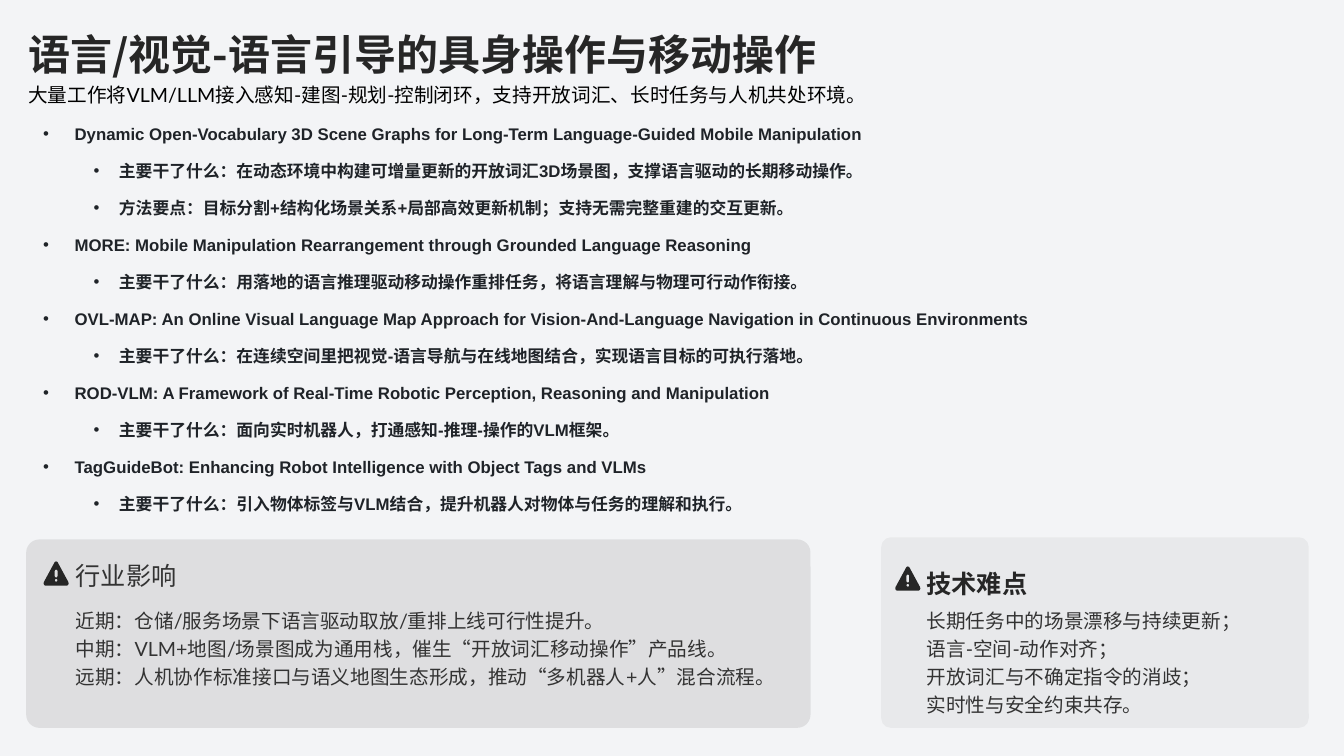
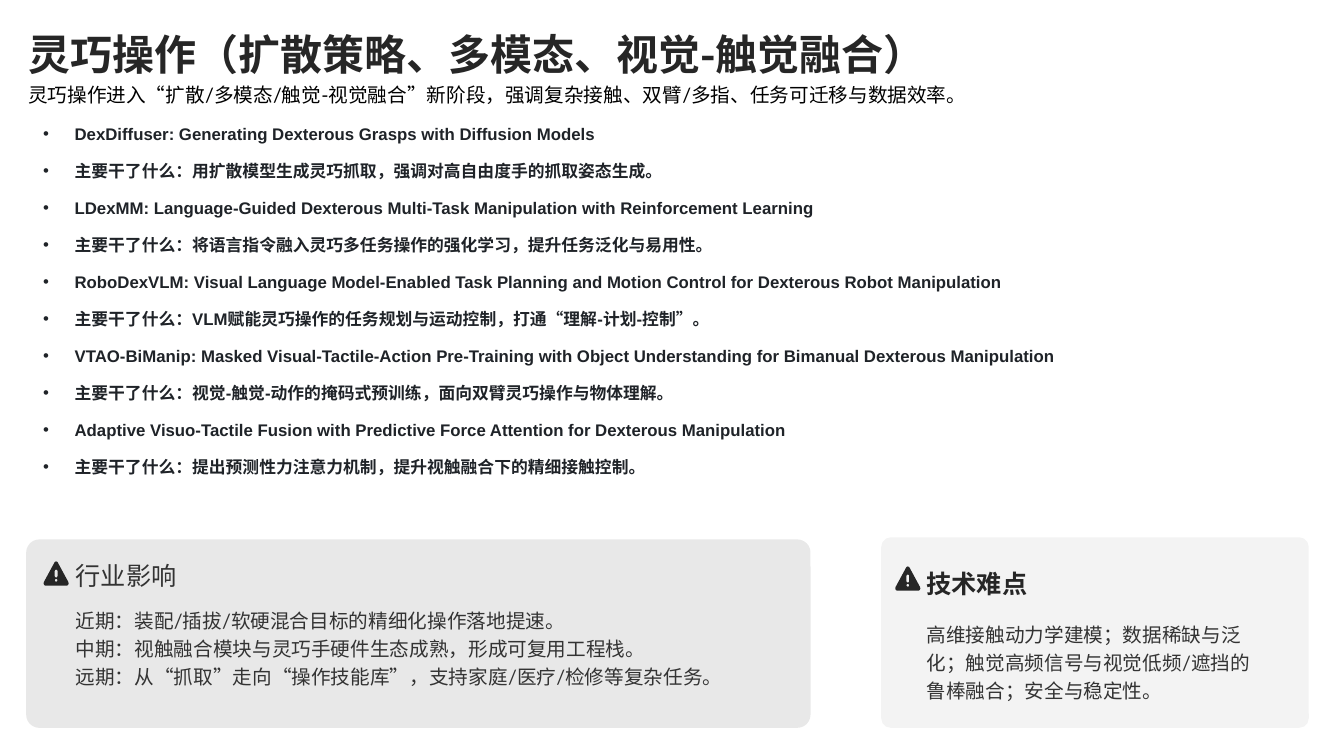
"""Build two slides on embodied manipulation research."""
from lxml.etree import SubElement
from pptx import Presentation
from pptx.dml.color import RGBColor
from pptx.enum.lang import MSO_LANGUAGE_ID
from pptx.enum.shapes import MSO_SHAPE
from pptx.enum.text import MSO_ANCHOR, MSO_AUTO_SIZE, PP_ALIGN
from pptx.oxml.ns import qn
from pptx.util import Inches, Pt

WIDTH, HEIGHT = Inches(13.33), Inches(7.5)
COLORS = {"pale": "F3F4F6", "white": "FFFFFF", "dark": "262626", "black": "000000",
          "text": "333333", "list": "1F2328", "gray": "8C8C8C"}
HAN = "Noto Sans CJK SC"
INDENTS = [(6.08, -2.34), (9.38, -1.88)]
SIGN = [
    [(0, 0), (8, 2), (15, 8), (122, 205), (124, 220), (119, 233), (108, 240)],
    [(0, 80), (10, 84), (14, 94), (14, 146), (10, 156), (0, 160)],
    [(0, 173), (10, 177), (14, 187), (10, 197), (0, 201)],
]

SLIDES = [
    {
        "back": "pale",
        "title": "语言/视觉-语言引导的具身操作与移动操作",
        "lead": "大量工作将VLM/LLM接入感知-建图-规划-控制闭环，支持开放词汇、长时任务与人机共处环境。",
        "points": [
            (0, "Dynamic Open-Vocabulary 3D Scene Graphs for Long-Term Language-Guided Mobile Manipulation"),
            (1, "主要干了什么：在动态环境中构建可增量更新的开放词汇3D场景图，支撑语言驱动的长期移动操作。"),
            (1, "方法要点：目标分割+结构化场景关系+局部高效更新机制；支持无需完整重建的交互更新。"),
            (0, "MORE: Mobile Manipulation Rearrangement through Grounded Language Reasoning"),
            (1, "主要干了什么：用落地的语言推理驱动移动操作重排任务，将语言理解与物理可行动作衔接。"),
            (0, "OVL-MAP: An Online Visual Language Map Approach for Vision-And-Language Navigation in Continuous Environments"),
            (1, "主要干了什么：在连续空间里把视觉-语言导航与在线地图结合，实现语言目标的可执行落地。"),
            (0, "ROD-VLM: A Framework of Real-Time Robotic Perception, Reasoning and Manipulation"),
            (1, "主要干了什么：面向实时机器人，打通感知-推理-操作的VLM框架。"),
            (0, "TagGuideBot: Enhancing Robot Intelligence with Object Tags and VLMs"),
            (1, "主要干了什么：引入物体标签与VLM结合，提升机器人对物体与任务的理解和执行。"),
        ],
        "impact": [
            "近期：仓储/服务场景下语言驱动取放/重排上线可行性提升。",
            "中期：VLM+地图/场景图成为通用栈，催生“开放词汇移动操作”产品线。",
            "远期：人机协作标准接口与语义地图生态形成，推动“多机器人+人”混合流程。",
        ],
        "limits": [
            "长期任务中的场景漂移与持续更新；",
            "语言-空间-动作对齐；",
            "开放词汇与不确定指令的消歧；",
            "实时性与安全约束共存。",
        ],
    },
    {
        "back": "white",
        "title": "灵巧操作（扩散策略、多模态、视觉-触觉融合）",
        "lead": "灵巧操作进入“扩散/多模态/触觉-视觉融合”新阶段，强调复杂接触、双臂/多指、任务可迁移与数据效率。",
        "points": [
            (0, "DexDiffuser: Generating Dexterous Grasps with Diffusion Models"),
            (0, "主要干了什么：用扩散模型生成灵巧抓取，强调对高自由度手的抓取姿态生成。"),
            (0, "LDexMM: Language-Guided Dexterous Multi-Task Manipulation with Reinforcement Learning"),
            (0, "主要干了什么：将语言指令融入灵巧多任务操作的强化学习，提升任务泛化与易用性。"),
            (0, "RoboDexVLM: Visual Language Model-Enabled Task Planning and Motion Control for Dexterous Robot Manipulation"),
            (0, "主要干了什么：VLM赋能灵巧操作的任务规划与运动控制，打通“理解-计划-控制”。"),
            (0, "VTAO-BiManip: Masked Visual-Tactile-Action Pre-Training with Object Understanding for Bimanual Dexterous Manipulation"),
            (0, "主要干了什么：视觉-触觉-动作的掩码式预训练，面向双臂灵巧操作与物体理解。"),
            (0, "Adaptive Visuo-Tactile Fusion with Predictive Force Attention for Dexterous Manipulation"),
            (0, "主要干了什么：提出预测性力注意力机制，提升视触融合下的精细接触控制。"),
        ],
        "impact": [
            "近期：装配/插拔/软硬混合目标的精细化操作落地提速。",
            "中期：视触融合模块与灵巧手硬件生态成熟，形成可复用工程栈。",
            "远期：从“抓取”走向“操作技能库”，支持家庭/医疗/检修等复杂任务。",
        ],
        "limits": ["高维接触动力学建模；数据稀缺与泛化；触觉高频信号与视觉低频/遮挡的鲁棒融合；安全与稳定性。"],
    },
]


def across(share):
    return round(WIDTH * share / 100)


def down(share):
    return round(HEIGHT * share / 100)


def area(left, top, width, height):
    return across(left), down(top), across(width), down(height)


def place(shape, box):
    shape.left, shape.top, shape.width, shape.height = area(*box)


def paint(fill, color):
    fill.solid()
    fill.fore_color.rgb = RGBColor.from_string(COLORS[color])


def style(para, size, color, face="Lato", bold=False):
    for run in para.runs:
        font = run.font
        font.size, font.bold, font.name = Pt(size), bold, face
        font.language_id = MSO_LANGUAGE_ID.SIMPLIFIED_CHINESE
        paint(font.fill, color)
        SubElement(run._r.get_or_add_rPr(), qn("a:ea")).set("typeface", HAN)


def prepare(frame):
    frame.word_wrap = True
    frame.auto_size = MSO_AUTO_SIZE.NONE
    frame.vertical_anchor = MSO_ANCHOR.MIDDLE
    frame.margin_left = frame.margin_right = frame.margin_top = frame.margin_bottom = 0


def write(slide, box, lines, size, color, bold=False, space=1.2):
    frame = slide.shapes.add_textbox(*area(*box)).text_frame
    prepare(frame)
    frame.text = "\n".join(lines)
    for para in frame.paragraphs:
        para.line_spacing = space
        style(para, size, color, bold=bold)


def head(slide, text):
    title = slide.shapes.title
    place(title, (2.1, 3.75, 100, 6.67))
    frame = title.text_frame
    prepare(frame)
    frame.text = text
    frame.paragraphs[0].alignment = PP_ALIGN.LEFT
    style(frame.paragraphs[0], 30, "dark", HAN, True)


def bullet(para, level):
    para.level = level
    para.space_before, para.space_after = Pt(0), Pt(12)
    props = para._p.get_or_add_pPr()
    for name, share in zip(("marL", "indent"), INDENTS[level]):
        props.set(name, str(across(share)))
    SubElement(props, qn("a:buFont")).set("typeface", "Arial")
    SubElement(props, qn("a:buChar")).set("char", "•")


def fill_list(slide, points):
    body = slide.placeholders[1]
    place(body, (-1.28, 15.73, 93.85, 53.47))
    frame = body.text_frame
    frame.word_wrap = True
    frame.auto_size = MSO_AUTO_SIZE.SHAPE_TO_FIT_TEXT
    frame.text = "\n".join(text for _, text in points)
    for para, (level, _) in zip(frame.paragraphs, points):
        bullet(para, level)
        style(para, 12, "list", "Arial", True)


def panel(slide, box, color, curve):
    shape = slide.shapes.add_shape(MSO_SHAPE.ROUNDED_RECTANGLE, *area(*box))
    shape.adjustments[0] = curve
    shape.shadow.inherit = False
    shape.line.fill.background()
    paint(shape.fill, color)
    tint = shape._element.spPr.find(qn("a:solidFill"))[0]
    SubElement(tint, qn("a:alpha")).set("val", "10000")


def warn(slide, center, top):
    pen = slide.shapes.build_freeform(*SIGN[0][0], scale=Inches(0.001))
    for index, half in enumerate(SIGN):
        if index:
            pen.move_to(*half[0])
        mirror = [(-x, y) for x, y in reversed(half)]
        pen.add_line_segments(half[1:] + mirror, close=True)
    shape = pen.convert_to_shape(across(center), down(top))
    shape.shadow.inherit = False
    shape.line.fill.background()
    paint(shape.fill, "dark")


def build(deck, data):
    slide = deck.slides.add_slide(deck.slide_layouts[1])
    paint(slide.background.fill, data["back"])
    head(slide, data["title"])
    write(slide, (2.1, 10.4, 100, 3.73), [data["lead"]], 14, "black")
    panel(slide, (1.95, 71.35, 58.36, 24.93), "dark", 0.07)
    write(slide, (5.63, 73.07, 53.11, 24.8), data["impact"], 14, "text")
    panel(slide, (65.57, 71.07, 31.81, 25.2), "gray", 0.05)
    warn(slide, 67.55, 74.93)
    write(slide, (68.94, 74, 26.78, 5.2), ["技术难点"], 18, "dark", True, 1.3)
    write(slide, (68.94, 78.4, 24.68, 17.87), data["limits"], 14, "text")
    warn(slide, 4.18, 74.27)
    write(slide, (5.63, 73.07, 26.78, 5.2), ["行业影响"], 18, "text")
    fill_list(slide, data["points"])


def main():
    deck = Presentation()
    deck.slide_width, deck.slide_height = WIDTH, HEIGHT
    for data in SLIDES:
        build(deck, data)
    deck.save("out.pptx")


if __name__ == "__main__":
    main()
